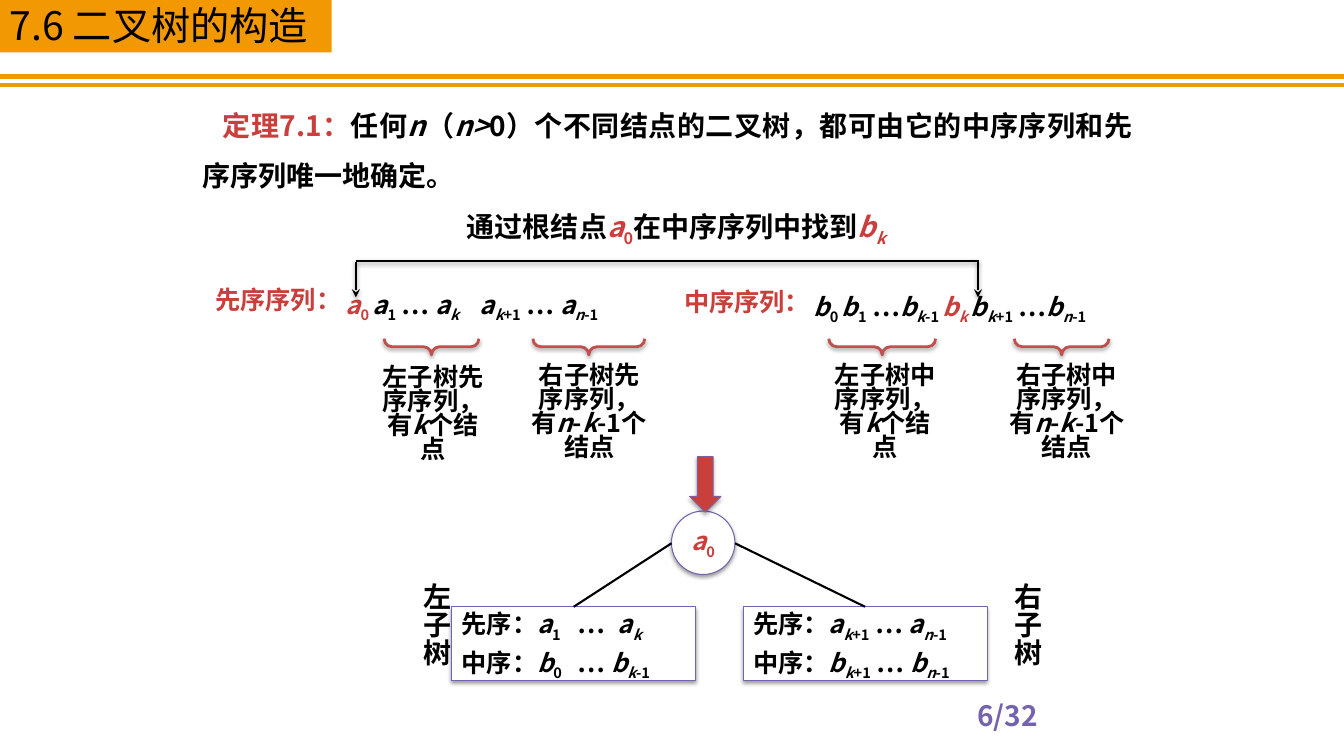
from lxml import etree
from pptx import Presentation
from pptx.dml.color import RGBColor
from pptx.enum.shapes import MSO_CONNECTOR, MSO_SHAPE
from pptx.enum.text import MSO_ANCHOR, PP_ALIGN
from pptx.oxml.ns import qn
from pptx.util import Inches, Pt

LEFT, MID, JUST = PP_ALIGN.LEFT, PP_ALIGN.CENTER, PP_ALIGN.JUSTIFY
TOP, CENTER = MSO_ANCHOR.TOP, MSO_ANCHOR.MIDDLE
RECT, OVAL = MSO_SHAPE.RECTANGLE, MSO_SHAPE.OVAL
BRACE, DOWN = MSO_SHAPE.LEFT_BRACE, MSO_SHAPE.DOWN_ARROW
STRAIGHT = MSO_CONNECTOR.STRAIGHT

FONT = "Noto Sans CJK SC"
BLACK, WHITE, RED, VIOLET = "000000", "FFFFFF", "C93F3C", "7563AF"


def grid(n):
    return Inches(n / 10)


def color(code):
    return RGBColor.from_string(code)


def node(parent, tag, **attrs):
    child = etree.SubElement(parent, qn(tag))
    for key, value in attrs.items():
        child.set(key, str(value))
    return child


def shade(effects, alpha=38, drop=1.6):
    cast = node(effects, "a:outerShdw", blurRad=Pt(3.1), dist=Pt(drop),
                dir=5400000, rotWithShape=0)
    tint = node(cast, "a:srgbClr", val=BLACK)
    node(tint, "a:alpha", val=alpha * 1000)


def write_run(para, part, size, ink, bold):
    body = part.lstrip("!*_")
    flags = part[:len(part) - len(body)]
    run = para.add_run()
    run.text = body
    run.font.size = Pt(size)
    run.font.bold = bold
    run.font.italic = "*" in flags
    run.font.color.rgb = color(RED if "!" in flags else ink)
    run.font.name = FONT
    props = run.font._element
    node(props, "a:ea", typeface=FONT)
    if "_" in flags:
        props.set("baseline", "-25000")


def fill_text(shape, lines, size=18, ink=BLACK, bold=True, align=LEFT,
              space=0.8, pad=(1, 0.5), anchor=TOP, indent=0, tabs=()):
    frame = shape.text_frame
    frame.word_wrap = True
    frame.vertical_anchor = anchor
    frame.margin_left = frame.margin_right = grid(pad[0])
    frame.margin_top = frame.margin_bottom = grid(pad[1])
    for i, line in enumerate(lines):
        para = frame.add_paragraph() if i else frame.paragraphs[0]
        para.alignment = align
        para.line_spacing = space
        if i:
            para.space_before = Pt(8)
        props = para._p.get_or_add_pPr()
        if indent:
            props.set("indent", str(grid(indent)))
        if tabs:
            stops = node(props, "a:tabLst")
            for stop in tabs:
                node(stops, "a:tab", pos=grid(stop), algn="l")
        for part in line.split("|"):
            write_run(para, part, size, ink, bold)


def label(slide, box, line, **style):
    shape = slide.shapes.add_textbox(*map(grid, box))
    fill_text(shape, [line], **style)
    return shape


def block(slide, kind, box, fill=None, edge=None, width=0.75):
    shape = slide.shapes.add_shape(kind, *map(grid, box))
    shape.shadow.inherit = False
    if fill:
        shape.fill.solid()
        shape.fill.fore_color.rgb = color(fill)
    else:
        shape.fill.background()
    if edge:
        shape.line.color.rgb = color(edge)
        shape.line.width = Pt(width)
    else:
        shape.line.fill.background()
    return shape


def lift(shape, **style):
    shade(shape.element.spPr.find(qn("a:effectLst")), **style)


def link(slide, ends, ink=BLACK, width=1.5, arrow=False, shadow=False):
    line = slide.shapes.add_connector(STRAIGHT, *map(grid, ends))
    line.line.color.rgb = color(ink)
    line.line.width = Pt(width)
    props = line.element.spPr
    if arrow:
        node(props.find(qn("a:ln")), "a:tailEnd", type="stealth")
    effects = node(props, "a:effectLst")
    if shadow:
        shade(effects)
    return line


def brace(slide, mid, span):
    box = (mid - 0.8, 34.4 - span / 2, 1.6, span)
    shape = block(slide, BRACE, box, edge="C0504D", width=2)
    shape.rotation = 270
    shape.adjustments[0] = 0.5
    shape.adjustments[1] = 0.5
    lift(shape)


def header(slide):
    for y in (7.6, 8.4):
        link(slide, (0, y, 133.3, y), "F19903", 3)
    block(slide, RECT, (0, 0, 32.9, 5.2), "F29803")
    label(slide, (0, 0.5, 34.6, 4.8), "7.6 二叉树的构造", size=28, bold=False)


def orders(slide):
    flat = {"pad": (0, 0)}
    label(slide, (19.1, 8.6, 94.2, 11.1),
          "!定理7.1：|任何|*n|（|*n>|0）个不同结点的二叉树，"
          "都可由它的中序序列和先序序列唯一地确定。",
          size=20, align=JUST, space=1.5, indent=2)
    label(slide, (46.3, 21.1, 44.1, 2.7),
          "通过根结点|!*a|!_0|在中序序列中找到|!*b|!*_k", size=20, **flat)
    for x, y, name in ((20.1, 28.8, "先"), (66.6, 29, "中")):
        label(slide, (x, y, 15, 2.4), f"!{name}序序列：", align=MID, **flat)
    label(slide, (34.3, 29, 32.3, 2.4),
          "!*a|!_0 |*a|_1| … |*a|*_k\t|*a|*_k|_+1| … |*a|*_n|_-1",
          tabs=(13.3,), **flat)
    label(slide, (80.7, 29.2, 33.5, 2.4),
          "*b|_0 |*b|_1| …|*b|*_k|_-1 |!*b|!*_k |*b|*_k|_+1| …|*b|*_n|_-1",
          **flat)
    link(slide, (35.3, 25.9, 97.1, 25.9), shadow=True)
    for x in (35.3, 97):
        link(slide, (x, 26, x, 29.5), arrow=True, shadow=True)


def parts(slide):
    small, large = "有|*k|个结点", "有|*n|-|*k|-1个结点"
    spans = (
        (37.4, 36.4, 11.1, 42.8, 9.4, "左子树先序序列，" + small),
        (52.6, 36.2, 11.7, 58.4, 11.1, "右子树先序序列，" + large),
        (82.4, 36.2, 10.8, 87.5, 10.6, "左子树中序序列，" + small),
        (99.9, 36.2, 11.8, 105.3, 9.4, "右子树中序序列，" + large),
    )
    for x, y, wide, mid, span, line in spans:
        label(slide, (x, y, wide, 9.7), line, align=MID, pad=(0, 0))
        brace(slide, mid, span)


def tree(slide):
    root = block(slide, OVAL, (66.6, 50.7, 6.3, 6.3), WHITE, VIOLET)
    lift(root)
    fill_text(root, ["!*a|!_0"], align=MID, pad=(0, 0.5), anchor=CENTER)
    sides = (
        (44.8, 40.1, 66.6, "左子树", (11.5, 15.5),
         ["先序：|*a|_1|\t…\t|*a|*_k", "中序：|*b|_0|\t… |*b|*_k|_-1"]),
        (73.7, 98.7, 72.9, "右子树", (),
         ["先序：|*a|*_k|_+1| … |*a|*_n|_-1",
          "中序：|*b|*_k|_+1| … |*b|*_n|_-1"]),
    )
    for x, tag, start, name, tabs, lines in sides:
        leaf = block(slide, RECT, (x, 60.2, 24.2, 7.3), WHITE, VIOLET)
        lift(leaf)
        fill_text(leaf, lines, tabs=tabs)
        side = label(slide, (tag, 56.8, 4.7, 13.3), name, size=20, align=MID)
        side.text_frame._txBody.bodyPr.set("vert", "eaVert")
        edge = link(slide, (start, 53.9, x + 12.1, 60.2))
        edge.end_connect(leaf, 0)
    arrow = block(slide, DOWN, (68.4, 45.3, 3.1, 5.5), RED, "7D60A0")
    lift(arrow, alpha=35, drop=1.8)


def main():
    deck = Presentation()
    deck.slide_width, deck.slide_height = grid(133.3), grid(75)
    slide = deck.slides.add_slide(deck.slide_layouts[6])
    header(slide)
    orders(slide)
    parts(slide)
    tree(slide)
    label(slide, (88.3, 69.5, 23.3, 4), "6/32", size=20, ink=VIOLET, align=MID)
    deck.save("out.pptx")


if __name__ == "__main__":
    main()
